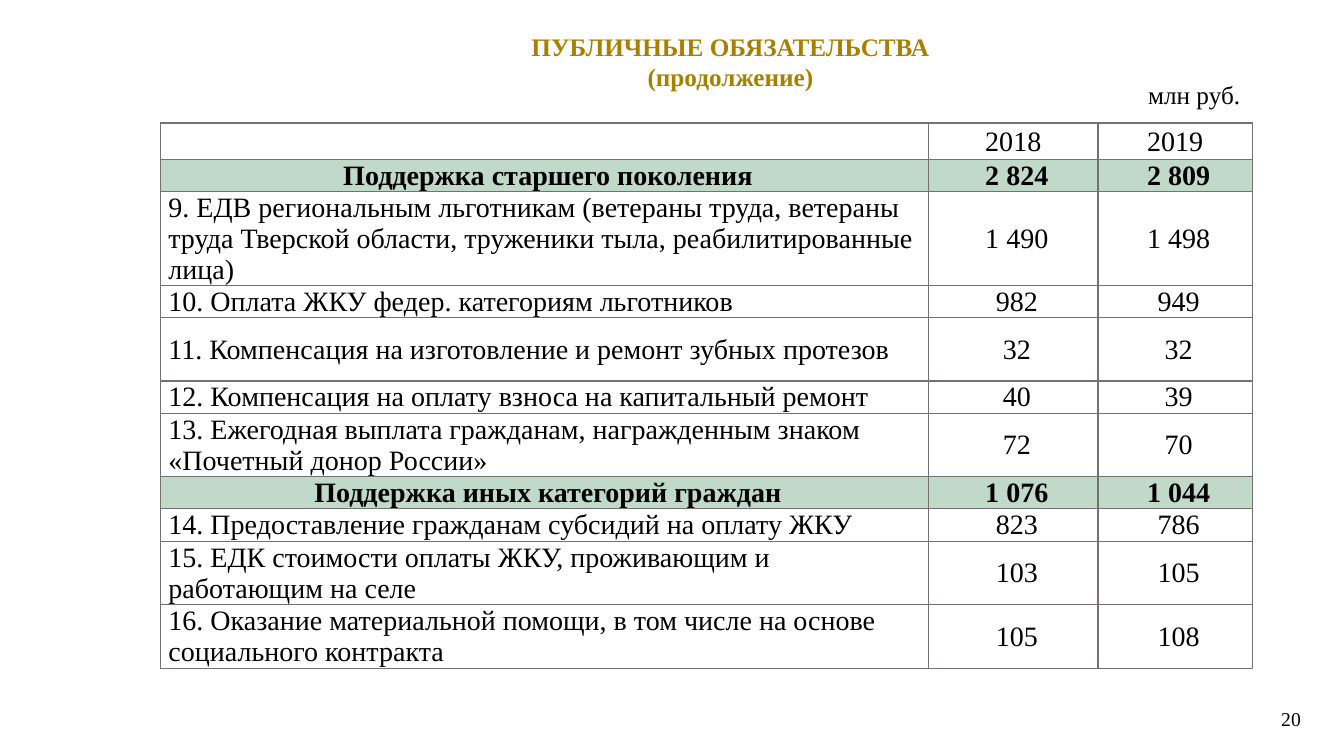
import pptx
import pptx.util
import pptx.dml.color
import pptx.enum.text
import pptx.oxml

Inches, Pt = pptx.util.Inches, pptx.util.Pt
Align = pptx.enum.text.PP_ALIGN
Middle = pptx.enum.text.MSO_ANCHOR.MIDDLE
Fit = pptx.enum.text.MSO_AUTO_SIZE

FONT = "Times New Roman"
BLACK, GOLD, GREEN, GREY = "000000", "A88000", "C1D9C8", "767171"

TITLE = ["ПУБЛИЧНЫЕ ОБЯЗАТЕЛЬСТВА", "(продолжение)"]
UNIT = "млн руб."
PAGE = "20"
YEARS = ("", "2018", "2019")
GROUPS = [
    (("Поддержка старшего поколения", "2 824", "2 809"), [
        ("9. ЕДВ региональным льготникам (ветераны труда, ветераны труда "
         "Тверской области, труженики тыла, реабилитированные лица)",
         "1 490", "1 498"),
        ("10. Оплата ЖКУ федер. категориям льготников", "982", "949"),
        ("11. Компенсация на изготовление и ремонт зубных протезов",
         "32", "32"),
        ("12. Компенсация на оплату взноса на капитальный ремонт",
         "40", "39"),
        ("13. Ежегодная выплата гражданам, награжденным знаком "
         "«Почетный донор России»", "72", "70"),
    ]),
    (("Поддержка иных категорий граждан", "1 076", "1 044"), [
        ("14. Предоставление гражданам субсидий на оплату ЖКУ",
         "823", "786"),
        ("15. ЕДК стоимости оплаты ЖКУ, проживающим и работающим на селе",
         "103", "105"),
        ("16. Оказание материальной помощи, в том числе на основе "
         "социального контракта", "105", "108"),
    ]),
]
WIDTHS = (7.62, 1.68, 1.53)
HEIGHTS = (0.36, 0.32, 0.93, 0.32, 0.63, 0.32, 0.63, 0.32, 0.32, 0.63, 0.63)


def color(code):
    return pptx.dml.color.RGBColor.from_string(code)


def style(font, size, code=BLACK, bold=False):
    font.name, font.size, font.bold = FONT, Pt(size), bold
    font.color.rgb = color(code)


def write(para, text, size, align, code=BLACK, bold=False):
    para.alignment = align
    run = para.add_run()
    run.text = text
    style(run.font, size, code, bold)


def label(slide, box, text, size, align):
    """Add a one-line text box and return its frame."""
    frame = slide.shapes.add_textbox(*map(Inches, box)).text_frame
    frame.word_wrap = True
    write(frame.paragraphs[0], text, size, align)
    return frame


def border(cell):
    props = cell._tc.get_or_add_tcPr()
    for side in "LRTB":
        line = pptx.oxml.parse_xml(
            '<a:ln%s xmlns:a="http://schemas.openxmlformats.org/drawingml/2006/main"'
            ' w="%d"><a:solidFill><a:srgbClr val="%s"/></a:solidFill></a:ln%s>'
            % (side, Pt(1), GREY, side))
        props.append(line)


def put(cell, text, align, left, bold=False):
    cell.vertical_anchor = Middle
    cell.margin_left = Inches(left)
    cell.margin_top = cell.margin_right = Inches(0.01)
    cell.margin_bottom = 0
    border(cell)
    if bold:
        cell.fill.solid()
        cell.fill.fore_color.rgb = color(GREEN)
    else:
        cell.fill.background()
    para = cell.text_frame.paragraphs[0]
    para.line_spacing = Pt(22)
    if text:
        write(para, text, 20, align, bold=bold)
    else:
        style(para.font, 20)


def heading(slide):
    title = slide.shapes.title
    title.left, title.top = Inches(2.96), Inches(0.3)
    title.width, title.height = Inches(8.57), Inches(0.63)
    frame = title.text_frame
    frame.auto_size = Fit.NONE
    frame.vertical_anchor = Middle
    para = frame.paragraphs[0]
    para.line_spacing = Pt(21.4)
    for i, text in enumerate(TITLE):
        if i:
            para.add_line_break()
        write(para, text, 18, Align.CENTER, GOLD, True)


def budget(slide):
    """Add the table of payments by group and year."""
    rows = [(YEARS, "years")]
    for total, items in GROUPS:
        rows.append((total, "total"))
        rows += [(item, "item") for item in items]
    table = slide.shapes.add_table(
        len(rows), len(WIDTHS), Inches(1.59), Inches(1.22),
        Inches(sum(WIDTHS)), Inches(sum(HEIGHTS))).table
    table.first_row = table.horz_banding = False
    for col, width in zip(table.columns, WIDTHS):
        col.width = Inches(width)
    for row, height, (texts, kind) in zip(table.rows, HEIGHTS, rows):
        row.height = Inches(height)
        left = 0.01 if kind == "years" else 0.08
        for c, (cell, text) in enumerate(zip(row.cells, texts)):
            name = kind == "item" and c == 0
            align = Align.LEFT if name else Align.CENTER
            put(cell, text, align, left, kind == "total")


def main():
    deck = pptx.Presentation()
    deck.slide_width, deck.slide_height = Inches(13.33), Inches(7.5)
    slide = deck.slides.add_slide(deck.slide_layouts[5])
    heading(slide)
    page = label(slide, (10.75, 6.93, 2.25, 0.4), PAGE, 14, Align.RIGHT)
    page.vertical_anchor = Middle
    budget(slide)
    unit = label(slide, (11.29, 0.74, 1.17, 0.4), UNIT, 18, Align.LEFT)
    unit.auto_size = Fit.SHAPE_TO_FIT_TEXT
    deck.save("out.pptx")


if __name__ == "__main__":
    main()
